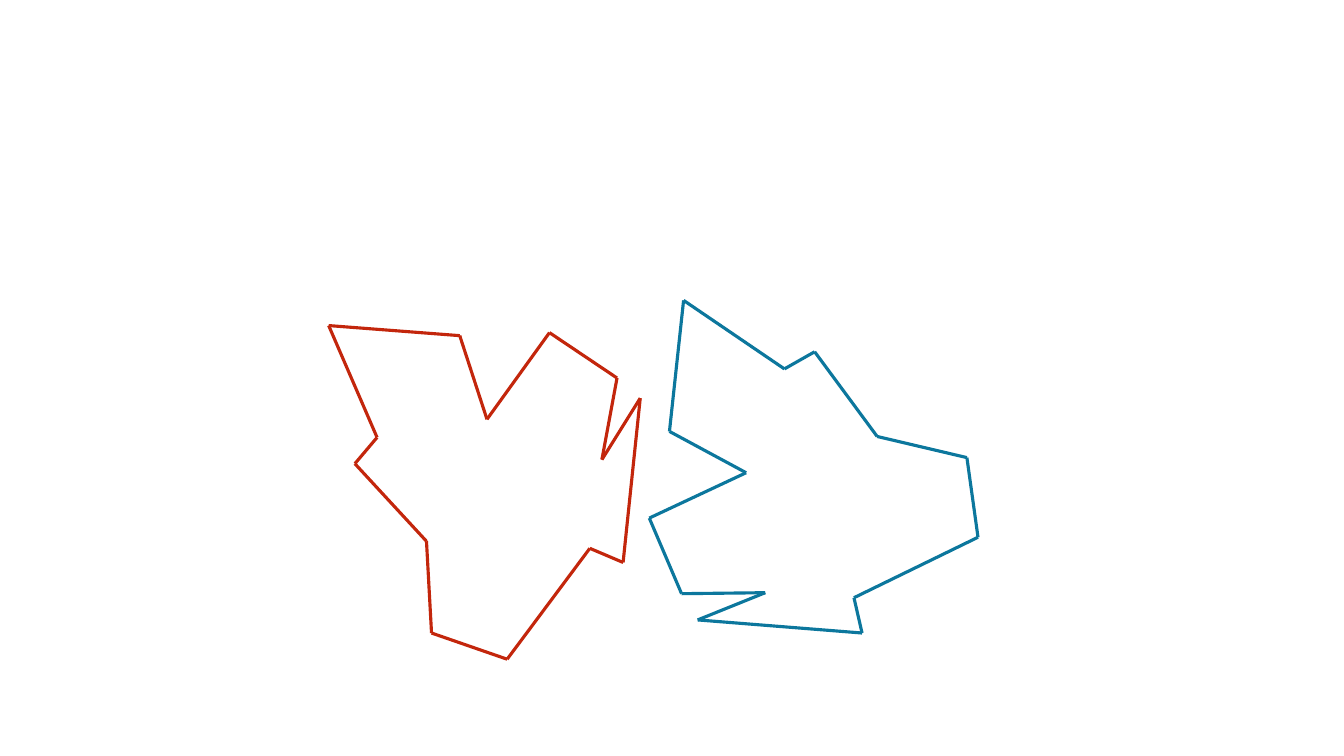
from itertools import pairwise
from lxml.etree import SubElement
from pptx import Presentation
from pptx.dml.color import RGBColor
from pptx.enum.shapes import MSO_CONNECTOR
from pptx.oxml.ns import qn
from pptx.util import Inches, Pt

RED = RGBColor(0xC3, 0x26, 0x0C)
TEAL = RGBColor(0x0C, 0x77, 0x9D)

RED_CORNERS = [
    (0, 0), (0.48, 1.11), (0.26, 1.37), (0.97, 2.14), (1.02, 3.05),
    (1.77, 3.31), (2.59, 2.21), (2.92, 2.35), (3.09, 0.72), (2.71, 1.33),
    (2.86, 0.52), (2.19, 0.07), (1.57, 0.93), (1.3, 0.1),
]
TEAL_CORNERS = [
    (0.34, 0), (1.34, 0.68), (1.64, 0.51), (2.26, 1.35), (3.15, 1.56),
    (3.26, 2.35), (2.03, 2.95), (2.11, 3.3), (0.48, 3.17), (1.15, 2.9),
    (0.32, 2.91), (0, 2.16), (0.96, 1.71), (0.2, 1.3),
]


def add_polygon(page, left, top, corners, color):
    group = page.shapes.add_group_shape()
    points = [(Inches(left + x), Inches(top + y)) for x, y in corners]
    for start, end in pairwise(points + points[:1]):
        edge = group.shapes.add_connector(MSO_CONNECTOR.STRAIGHT, *start, *end)
        edge.line.color.rgb = color
        edge.line.width = Pt(2.25)
        SubElement(edge._element.spPr, qn("a:effectLst"))


def main():
    deck = Presentation()
    deck.slide_width, deck.slide_height = Inches(13.33), Inches(7.5)
    page = deck.slides.add_slide(deck.slide_layouts[6])
    add_polygon(page, 6.44, 2.98, TEAL_CORNERS, TEAL)
    add_polygon(page, 3.26, 3.23, RED_CORNERS, RED)
    deck.save("out.pptx")


if __name__ == "__main__":
    main()
